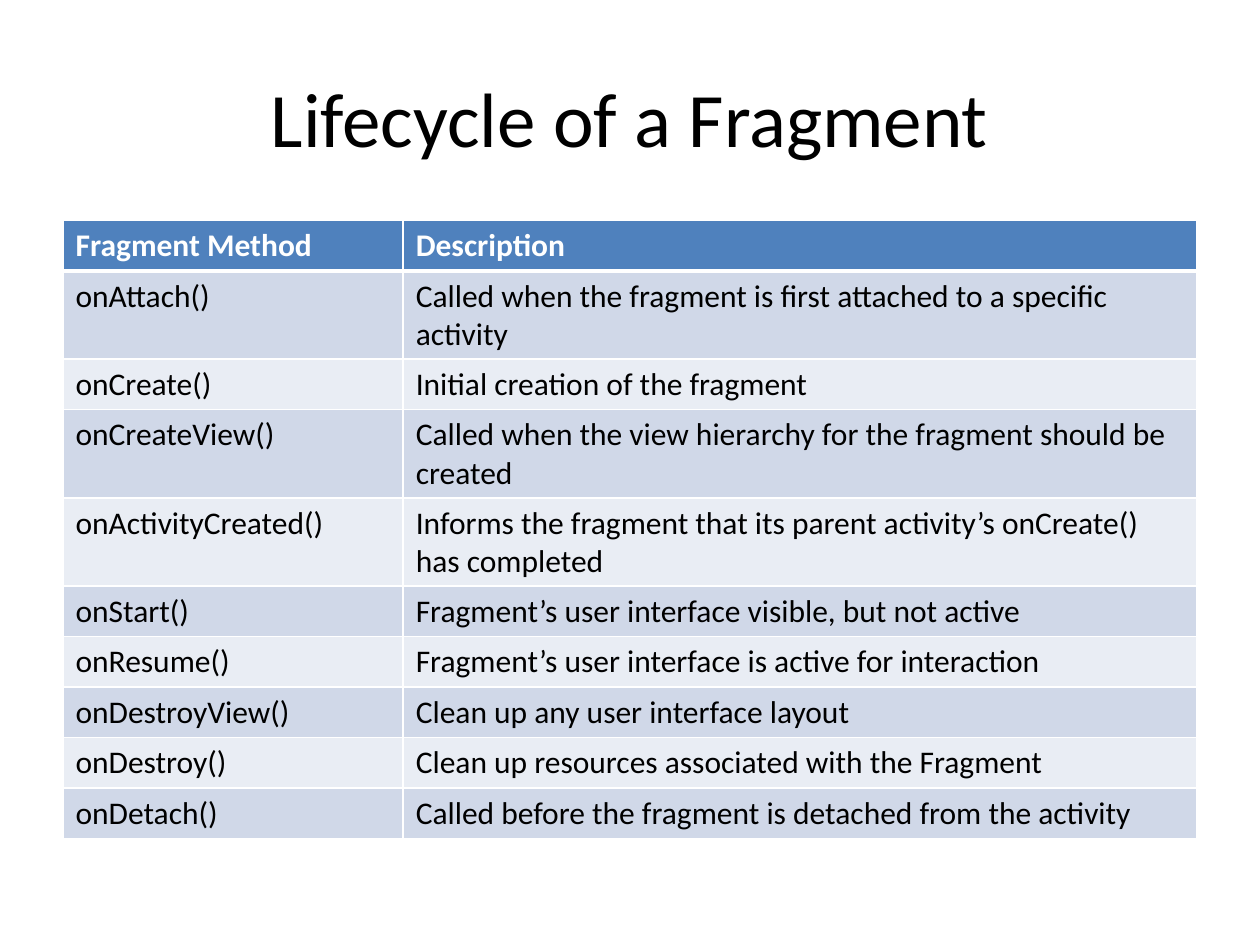
from dataclasses import dataclass

from lxml.etree import SubElement
from pptx import Presentation
from pptx.dml.color import RGBColor
from pptx.enum.text import MSO_ANCHOR, PP_ALIGN
from pptx.oxml.ns import qn
from pptx.util import Inches, Pt


@dataclass(frozen=True)
class Theme:
    """Colours, font and type sizes of the slide."""
    font: str = "Calibri"
    title: int = 44
    body: int = 18
    ink: str = "000000"
    light: str = "FFFFFF"
    head: str = "4F81BD"
    bands: tuple = ("D0D8E8", "E9EDF4")


theme = Theme()


def write(frame, text, size=theme.body, color=theme.ink, bold=False,
          align=PP_ALIGN.LEFT):
    """Put one formatted paragraph into a text frame."""
    para = frame.paragraphs[0]
    para.alignment = align
    run = para.add_run()
    run.text = text
    run.font.name = theme.font
    run.font.size = Pt(size)
    run.font.bold = bold
    run.font.color.rgb = RGBColor.from_string(color)


def border(cell, widths):
    """Draw light cell borders, given point widths keyed by side."""
    props = cell._tc.get_or_add_tcPr()
    for side, width in widths.items():
        line = SubElement(props, qn(f"a:ln{side}"), w=str(Pt(width)))
        fill = SubElement(line, qn("a:solidFill"))
        SubElement(fill, qn("a:srgbClr"), val=theme.light)


rows = [
    ("Fragment Method", "Description"),
    ("onAttach()",
     "Called when the fragment is first attached to a specific activity"),
    ("onCreate()", "Initial creation of the fragment"),
    ("onCreateView()",
     "Called when the view hierarchy for the fragment should be created"),
    ("onActivityCreated()",
     "Informs the fragment that its parent activity’s onCreate() "
     "has completed"),
    ("onStart()", "Fragment’s user interface visible, but not active"),
    ("onResume()", "Fragment’s user interface is active for interaction"),
    ("onDestroyView()", "Clean up any user interface layout"),
    ("onDestroy()", "Clean up resources associated with the Fragment"),
    ("onDetach()", "Called before the fragment is detached from the activity"),
]
widths = (2.7, 6.3)
height = 0.4

deck = Presentation()
deck.slide_width, deck.slide_height = Inches(10), Inches(7.5)
slide = deck.slides.add_slide(deck.slide_layouts[6])

title = slide.shapes.add_textbox(
    Inches(0.5), Inches(0.3), Inches(9), Inches(1.25)).text_frame
title.word_wrap = True
title.vertical_anchor = MSO_ANCHOR.MIDDLE
write(title, "Lifecycle of a Fragment", size=theme.title,
      align=PP_ALIGN.CENTER)

table = slide.shapes.add_table(
    len(rows), len(widths), Inches(0.5), Inches(1.75),
    Inches(sum(widths)), Inches(height * len(rows))).table
for col, width in zip(table.columns, widths):
    col.width = Inches(width)

for r, row in enumerate(rows):
    table.rows[r].height = Inches(height)
    head = r == 0
    fill = theme.head if head else theme.bands[(r - 1) % 2]
    color = theme.light if head else theme.ink
    sides = {"L": 1, "R": 1, "T": 3 if r == 1 else 1, "B": 3 if head else 1}
    for c, text in enumerate(row):
        cell = table.cell(r, c)
        border(cell, sides)
        cell.fill.solid()
        cell.fill.fore_color.rgb = RGBColor.from_string(fill)
        write(cell.text_frame, text, color=color, bold=head)

deck.save("out.pptx")
